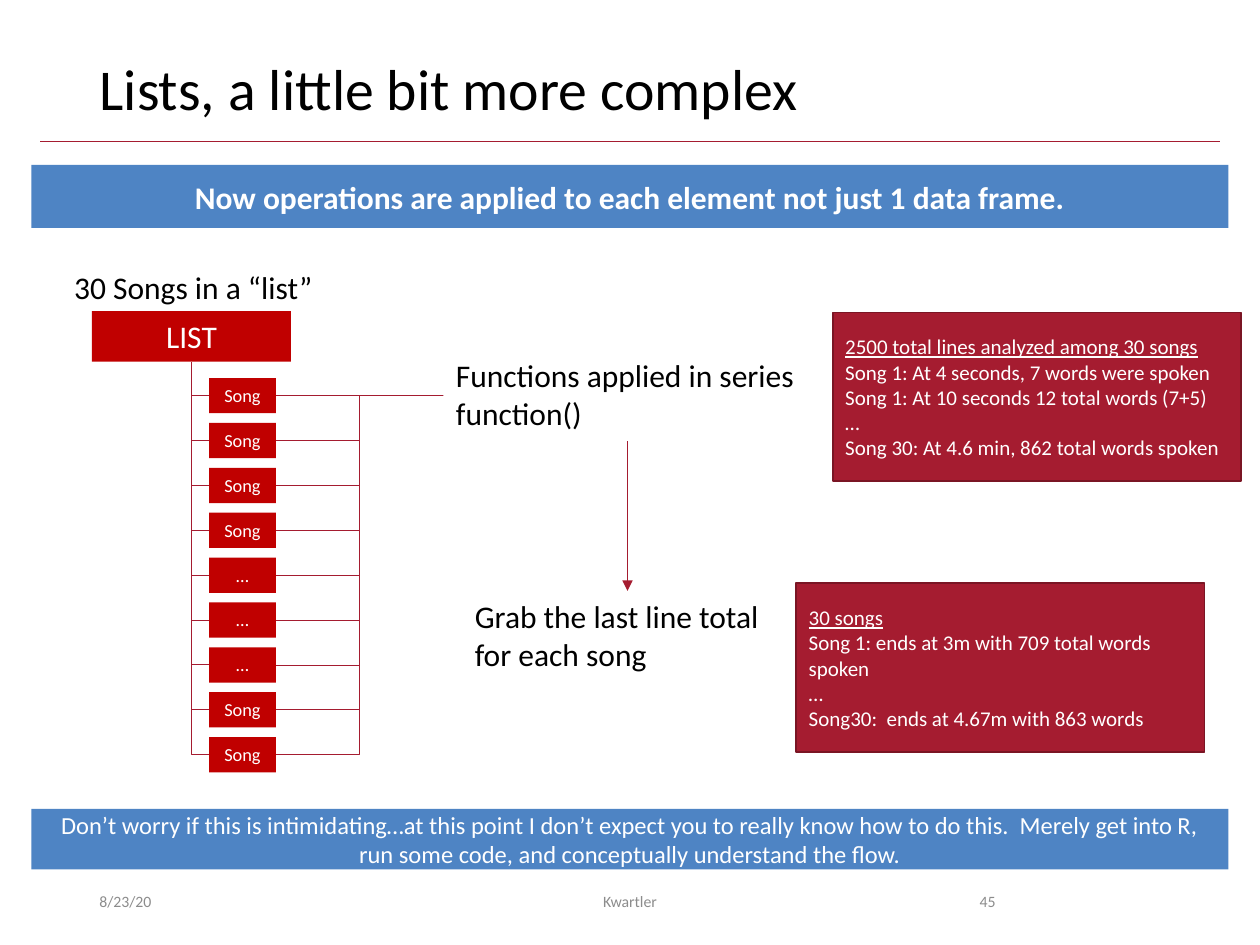
from lxml import etree
from pptx import Presentation
from pptx.dml.color import RGBColor
from pptx.enum.shapes import MSO_CONNECTOR, MSO_SHAPE
from pptx.enum.text import MSO_ANCHOR, MSO_AUTO_SIZE, PP_ALIGN
from pptx.oxml.ns import qn
from pptx.util import Inches, Pt

RECT = MSO_SHAPE.RECTANGLE
LINE, ELBOW = MSO_CONNECTOR.STRAIGHT, MSO_CONNECTOR.ELBOW
LEFT, MID, RIGHT = PP_ALIGN.LEFT, PP_ALIGN.CENTER, PP_ALIGN.RIGHT
TOP, CENTER = MSO_ANCHOR.TOP, MSO_ANCHOR.MIDDLE
GROW = MSO_AUTO_SIZE.SHAPE_TO_FIT_TEXT

BLACK = RGBColor(0x00, 0x00, 0x00)
WHITE = RGBColor(0xFF, 0xFF, 0xFF)
GRAY = RGBColor(0x8C, 0x8C, 0x8C)
BLUE = RGBColor(0x4E, 0x84, 0xC4)
RED = RGBColor(0xC0, 0x00, 0x00)
WINE = RGBColor(0xA5, 0x1C, 0x30)
DARK = RGBColor(0x7A, 0x15, 0x24)

SONGS = ["Song"] * 4 + ["…"] * 3 + ["Song"] * 2
LINES = [
    "2500 total lines analyzed among 30 songs",
    "Song 1: At 4 seconds, 7 words were spoken",
    "Song 1: At 10 seconds 12 total words (7+5)",
    "…",
    "Song 30: At 4.6 min, 862 total words spoken",
]
TOTALS = [
    "30 songs",
    "Song 1: ends at 3m with 709 total words spoken",
    "…",
    "Song30:  ends at 4.67m with 863 words",
]


def write(shape, *rows, size=18, color=BLACK, align=LEFT, anchor=TOP,
          bold=False, head=False, space=None):
    """Fill a shape with one paragraph per row; head underlines the first."""
    frame = shape.text_frame
    frame.vertical_anchor = anchor
    for i, row in enumerate(rows):
        para = frame.add_paragraph() if i else frame.paragraphs[0]
        para.alignment = align
        para.line_spacing = space
        run = para.add_run()
        run.text = row
        font = run.font
        font.name, font.size, font.bold = "Calibri", Pt(size), bold
        font.color.rgb = color
        font.underline = head and i == 0


def label(slide, box, *rows, wrap=True, grow=False, **style):
    """Add a text box."""
    shape = slide.shapes.add_textbox(*map(Inches, box))
    write(shape, *rows, **style)
    shape.text_frame.word_wrap = wrap
    if grow:
        shape.text_frame.auto_size = GROW
    return shape


def block(slide, box, fill, *rows, edge=None, **style):
    """Add a filled rectangle with white text."""
    shape = slide.shapes.add_shape(RECT, *map(Inches, box))
    shape.shadow.inherit = False
    shape.fill.solid()
    shape.fill.fore_color.rgb = fill
    if edge:
        shape.line.color.rgb = edge
        shape.line.width = Pt(1)
    else:
        shape.line.fill.background()
    write(shape, *rows, color=WHITE, **style)
    return shape


def wire(slide, kind, ends=(0, 0, 0, 0)):
    """Add a thin connector without a shadow."""
    link = slide.shapes.add_connector(kind, *map(Inches, ends))
    link.line.color.rgb = WINE
    link.line.width = Pt(0.5)
    etree.SubElement(link._element.spPr, qn("a:effectLst"))
    return link


def join(slide, kind, start, out, end, into):
    """Connect a side of one shape to a side of another."""
    link = wire(slide, kind)
    link.begin_connect(start, out)
    link.end_connect(end, into)
    return link


def header(slide, box):
    """Place the title and the rule below it."""
    x, y, w, h = box
    title = slide.shapes.title
    title.left, title.top = Inches(x + 0.37), Inches(y)
    title.width, title.height = Inches(w - 0.74), Inches(h)
    write(title, "Lists, a little bit more complex", size=33,
          anchor=CENTER, space=0.9)
    rule = y + h + 0.07
    wire(slide, LINE, (x, rule, x + w, rule))


def tree(slide, box):
    """Draw the list with its songs and return the song boxes."""
    x, y, w, h = box
    label(slide, (x, y, w, 0.4), "30 Songs in a “list”", wrap=False, grow=True)
    root = block(slide, (x + 0.24, y + 0.39, 1.58, 0.4), RED, "LIST", align=MID)
    high = 0.28
    top = y + 0.92
    step = (h - 0.92 - high) / (len(SONGS) - 1)
    songs = []
    for i, name in enumerate(SONGS):
        song = block(slide, (x + 1.17, top + i * step, 0.53, high), RED, name,
                     size=10.5, align=MID)
        link = join(slide, ELBOW, song, 1, root, 2)
        link._element.spPr.find(qn("a:prstGeom")).set("prst", "bentConnector2")
        songs.append(song)
    return songs


def flow(slide, box, songs):
    """Place the two steps, feed the songs in and point to the result."""
    x, y, w, h = box
    first = label(slide, (x, y, w, 0.72), "Functions applied in series",
                  "function()", wrap=False, grow=True)
    last = label(slide, (x + 0.15, y + h - 0.71, w - 0.3, 0.71),
                 "Grab the last line total for each song", grow=True)
    for i, song in enumerate(songs):
        join(slide, ELBOW if i else LINE, first, 1, song, 3)
    arrow = join(slide, LINE, first, 2, last, 0)
    etree.SubElement(arrow.line._get_or_add_ln(), qn("a:tailEnd"),
                     type="triangle")


def notes(slide, box):
    """Place the two result boxes, the lower one further left."""
    x, y, w, h = box
    wide, high = 3.24, 1.34
    spots = [(x + w - wide, y, LINES), (x, y + h - high, TOTALS)]
    for left, top, rows in spots:
        block(slide, (left, top, wide, high), WINE, *rows, edge=DARK,
              size=12, anchor=CENTER, head=True)


def footer(slide, box):
    """Place the date, the author and the page number."""
    x, y, w, h = box
    parts = [
        (0, 2.25, "8/23/20", LEFT),
        (2.62, 3.38, "Kwartler", MID),
        (w - 0.94, 0.94, "45", RIGHT),
    ]
    for left, wide, text, align in parts:
        label(slide, (x + left, y, wide, h), text, size=9, color=GRAY,
              align=align, anchor=CENTER)


def main():
    """Build and save the slide."""
    deck = Presentation()
    deck.slide_width, deck.slide_height = Inches(10), Inches(7.5)
    slide = deck.slides.add_slide(deck.slide_layouts[5])
    header(slide, (0.32, 0.4, 9.36, 0.65))
    block(slide, (0.25, 1.31, 9.5, 0.5), BLUE,
          "Now operations are applied to each element not just 1 data frame.",
          align=MID, anchor=CENTER, bold=True)
    songs = tree(slide, (0.49, 2.08, 2.11, 4.05))
    flow(slide, (3.52, 2.78, 2.92, 2.62), songs)
    notes(slide, (6.32, 2.48, 3.53, 3.49))
    block(slide, (0.25, 6.42, 9.5, 0.48), BLUE,
          "Don’t worry if this is intimidating…at this point I don’t expect "
          "you to really know how to do this.  Merely get into R, run some "
          "code, and conceptually understand the flow.",
          size=14, align=MID, anchor=CENTER)
    footer(slide, (0.69, 6.95, 7.31, 0.4))
    deck.save("out.pptx")


if __name__ == "__main__":
    main()
